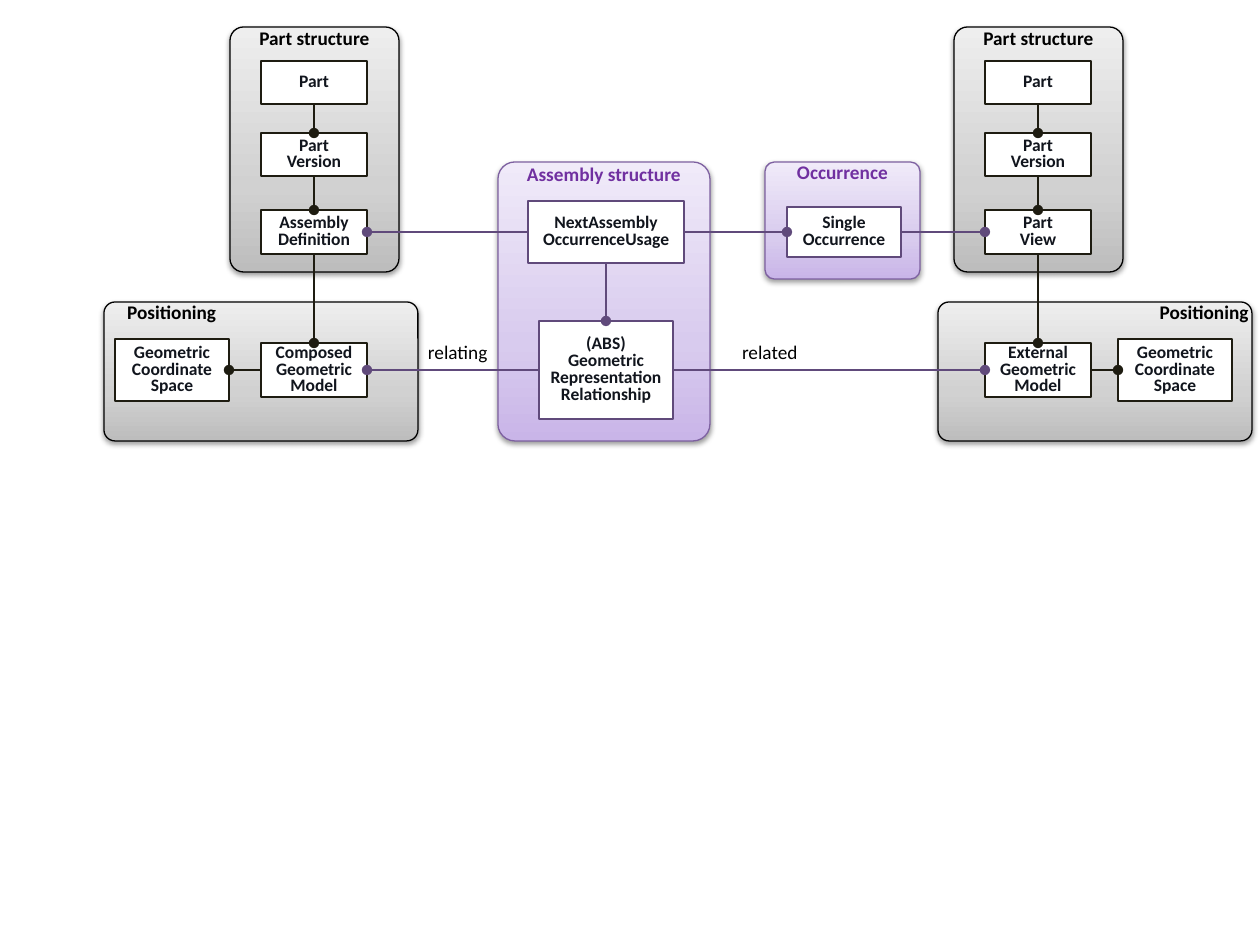
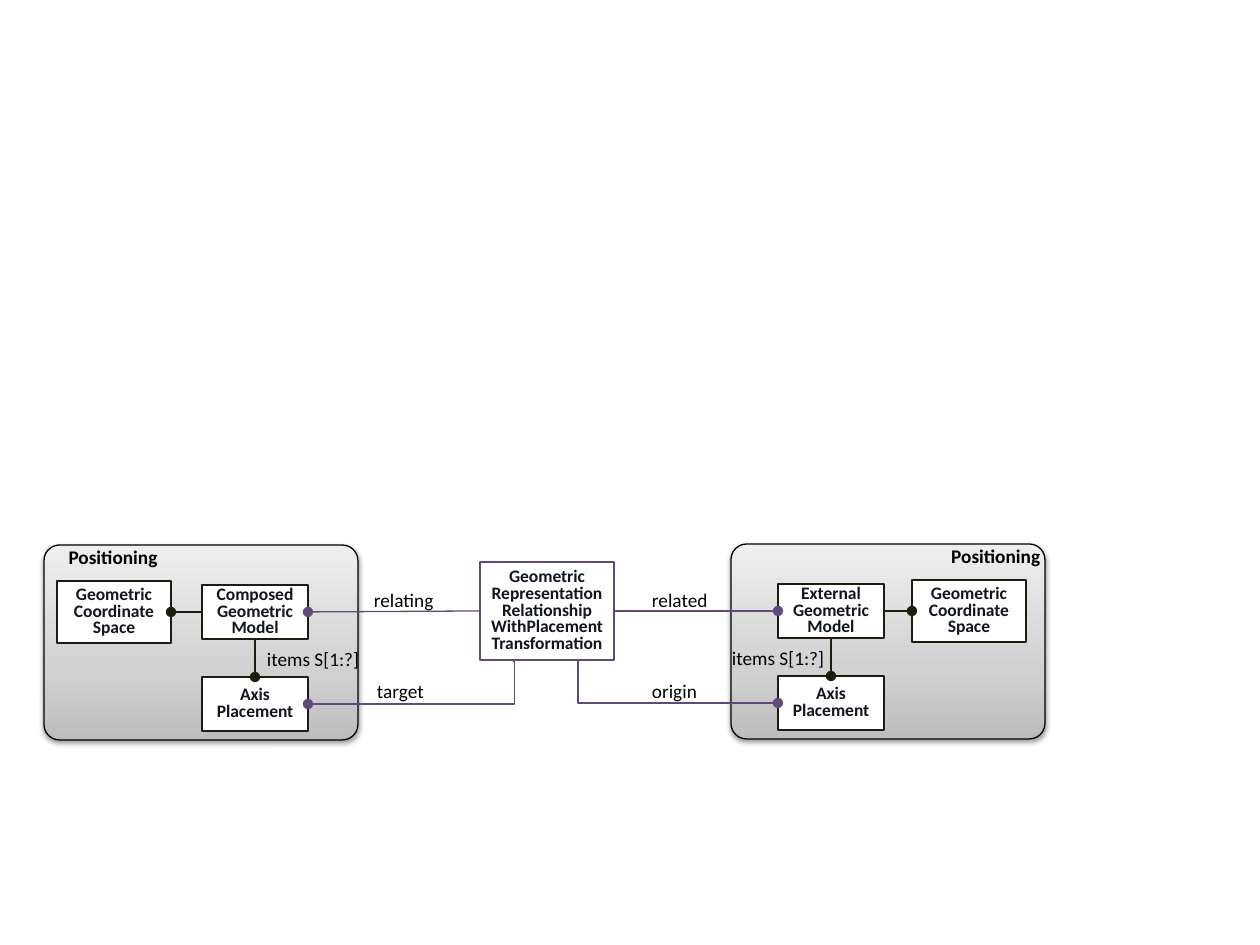
"""Builds two slides that diagram part assembly structure and geometric positioning."""
import copy

import lxml.etree
import pptx
import pptx.dml.color
import pptx.enum.shapes
import pptx.enum.text
import pptx.oxml.ns
import pptx.util

PX = 7257
FONT = "Calibri"
BLACK, INK, DARK, PURPLE = "000000", "11151D", "1E1C11", "604A7B"
GREY_PANEL = (("BDBDBD", "D1D1D1", "EEEEEE"), "000000", "000000")
PURPLE_PANEL = (("C9B5E8", "D8CBEE", "F0EAF9"), "7D60A0", "7030A0")
TOP, LEFT, BOTTOM, RIGHT = range(4)

color = pptx.dml.color.RGBColor.from_string
qn = pptx.oxml.ns.qn
SHAPE = pptx.enum.shapes.MSO_SHAPE
CONNECTOR = pptx.enum.shapes.MSO_CONNECTOR
ALIGN = pptx.enum.text.PP_ALIGN
ANCHOR = pptx.enum.text.MSO_ANCHOR


def write_text(shape, text, size, hex_color, bold, align, anchor, insets, spacing):
    """Fill a shape with paragraphs split at "|" and lines split at a newline."""
    frame = shape.text_frame
    frame.vertical_anchor = anchor
    frame.margin_left, frame.margin_top, frame.margin_right, frame.margin_bottom = (
        inset * PX for inset in insets)
    for index, paragraph_text in enumerate(text.split("|")):
        paragraph = frame.add_paragraph() if index else frame.paragraphs[0]
        paragraph.alignment = align
        paragraph.line_spacing = spacing
        for line_index, line in enumerate(paragraph_text.split("\n")):
            if line_index:
                paragraph.add_line_break()
            run = paragraph.add_run()
            run.text = line
            run.font.name = FONT
            run.font.size = pptx.util.Pt(size)
            run.font.bold = bold
            run.font.color.rgb = color(hex_color)


def add_link(slide, kind, points, hex_color):
    """Add a thin connector whose start carries a round dot."""
    connector = slide.shapes.add_connector(kind, *(point * PX for point in points))
    connector.line.color.rgb = color(hex_color)
    connector.line.width = pptx.util.Pt(0.75)
    properties = connector._element.spPr
    lxml.etree.SubElement(properties.find(qn("a:ln")), qn("a:headEnd"), type="oval")
    lxml.etree.SubElement(properties, qn("a:effectLst"))
    return connector


structure = {
    "panels": [
        ("Positioning", (104, 302, 314, 139), GREY_PANEL, ALIGN.LEFT, 20),
        ("Positioning", (938, 302, 314, 139), GREY_PANEL, ALIGN.RIGHT, 20),
        ("Occurrence", (765, 162, 155, 117), PURPLE_PANEL, ALIGN.CENTER, 0),
        ("Assembly structure", (498, 162, 212, 279), PURPLE_PANEL, ALIGN.CENTER, 0),
    ],
    "boxes": {
        "single": ("Single|Occurrence", (787, 207, 114, 50), PURPLE),
        "usage": ("NextAssembly|OccurrenceUsage", (528, 201, 156, 62), PURPLE),
        "relationship": ("(ABS)|Geometric|Representation|Relationship",
                         (539, 321, 134, 98), PURPLE),
    },
    "links": [
        ("right view", LEFT, "single", RIGHT, PURPLE),
        ("left view", RIGHT, "usage", LEFT, PURPLE),
        ("single", LEFT, "usage", RIGHT, PURPLE),
        ("relationship", TOP, "usage", BOTTOM, PURPLE),
        ("left model", RIGHT, "relationship", LEFT, PURPLE),
        ("right model", LEFT, "relationship", RIGHT, PURPLE),
    ],
    "elbows": [],
    "labels": [("relating", (416, 334, 86, 36)), ("related", (730, 334, 82, 36))],
}

placement = {
    "panels": [
        ("Positioning", (44, 545, 314, 195), GREY_PANEL, ALIGN.LEFT, 20),
        ("Positioning", (731, 544, 314, 195), GREY_PANEL, ALIGN.RIGHT, 20),
    ],
    "boxes": {
        "transformation": (
            "Geometric|Representation|Relationship\nWithPlacement\nTransformation",
            (480, 562, 134, 98), PURPLE),
    },
    "links": [
        ("left model", RIGHT, "transformation", LEFT, PURPLE),
        ("right model", LEFT, "transformation", RIGHT, PURPLE),
    ],
    "elbows": [((308, 704, 513, 661), 100800), ((778, 703, 566, 660), 94300)],
    "labels": [
        ("items S[1:?]", (255, 641, 126, 36)), ("items S[1:?]", (720, 640, 126, 36)),
        ("origin", (640, 673, 72, 36)), ("target", (365, 673, 74, 36)),
        ("relating", (362, 582, 86, 36)), ("related", (640, 582, 82, 36)),
    ],
}

for side, x, view in (("left", 261, "Assembly\nDefinition"), ("right", 985, "Part|View")):
    structure["panels"].append(
        ("Part structure", (x - 31, 27, 169, 245), GREY_PANEL, ALIGN.CENTER, 0))
    structure["boxes"].update({
        f"{side} part": ("Part", (x, 61, 106, 43), DARK),
        f"{side} version": ("Part|Version", (x, 133, 106, 43), DARK),
        f"{side} view": (view, (x, 210, 106, 44), DARK),
    })
    for child, parent in (("version", "part"), ("view", "version"), ("model", "view")):
        structure["links"].append(
            (f"{side} {child}", TOP, f"{side} {parent}", BOTTOM, DARK))

for diagram, side, model, model_x, space_x, y in (
        (structure, "left", "Composed", 261, 115, 343),
        (structure, "right", "External", 985, 1118, 343),
        (placement, "left", "Composed", 202, 57, 585),
        (placement, "right", "External", 778, 912, 584)):
    diagram["boxes"].update({
        f"{side} model": (f"{model}|Geometric|Model", (model_x, y, 106, 54), DARK),
        f"{side} space": ("Geometric|Coordinate|Space", (space_x, y - 4, 114, 62), DARK),
    })
    inner, outer = (RIGHT, LEFT) if side == "left" else (LEFT, RIGHT)
    diagram["links"].append((f"{side} space", inner, f"{side} model", outer, DARK))
    if diagram is placement:
        diagram["boxes"][f"{side} axis"] = (
            "Axis|Placement", (model_x, y + 92, 106, 54), DARK)
        diagram["links"].append((f"{side} axis", TOP, f"{side} model", BOTTOM, DARK))

presentation = pptx.Presentation()
presentation.slide_width = pptx.util.Inches(10)
presentation.slide_height = pptx.util.Inches(7.5)

for diagram in (structure, placement):
    slide = presentation.slides.add_slide(presentation.slide_layouts[6])

    for title, frame, (stops, outline, title_color), align, inset in diagram["panels"]:
        panel = slide.shapes.add_shape(
            SHAPE.ROUNDED_RECTANGLE, *(length * PX for length in frame))
        panel.adjustments[0] = 0.08
        panel.fill.gradient()
        panel.fill.gradient_angle = 90
        properties = panel._element.spPr
        stop_list = properties.find(".//" + qn("a:gsLst"))
        stop_list.append(copy.deepcopy(stop_list[0]))
        for stop, position, stop_color in zip(
                panel.fill.gradient_stops, (0, 0.35, 1), stops):
            stop.position = position
            stop.color.rgb = color(stop_color)
        panel.line.color.rgb = color(outline)
        panel.line.width = pptx.util.Pt(0.75)
        panel.shadow.inherit = False
        shadow = lxml.etree.SubElement(
            properties.find(qn("a:effectLst")), qn("a:outerShdw"),
            blurRad="40000", dist="20000", dir="5400000", rotWithShape="0")
        shadow_color = lxml.etree.SubElement(shadow, qn("a:srgbClr"), val=BLACK)
        lxml.etree.SubElement(shadow_color, qn("a:alpha"), val="38000")
        write_text(panel, title, 11, title_color, True, align, ANCHOR.TOP,
                   (inset, 0, 0, 0), 0.8)

    boxes = {}
    for name, (text, frame, outline) in diagram["boxes"].items():
        box = slide.shapes.add_shape(SHAPE.RECTANGLE, *(length * PX for length in frame))
        box.fill.solid()
        box.fill.fore_color.rgb = color("FFFFFF")
        box.line.color.rgb = color(outline)
        box.line.width = pptx.util.Pt(1)
        box.shadow.inherit = False
        write_text(box, text, 10, INK, True, ALIGN.CENTER, ANCHOR.MIDDLE,
                   (5, 5, 5, 5), 0.8)
        boxes[name] = box

    for start, start_side, end, end_side, link_color in diagram["links"]:
        link = add_link(slide, CONNECTOR.STRAIGHT, (0, 0, 0, 0), link_color)
        link.begin_connect(boxes[start], start_side)
        link.end_connect(boxes[end], end_side)

    for points, bend in diagram["elbows"]:
        elbow = add_link(slide, CONNECTOR.ELBOW, points, PURPLE)
        adjustments = elbow._element.spPr.find(".//" + qn("a:avLst"))
        lxml.etree.SubElement(adjustments, qn("a:gd"), name="adj1", fmla=f"val {bend}")

    for text, frame in diagram["labels"]:
        label = slide.shapes.add_textbox(*(length * PX for length in frame))
        label.text_frame.word_wrap = False
        label.text_frame.auto_size = pptx.enum.text.MSO_AUTO_SIZE.SHAPE_TO_FIT_TEXT
        write_text(label, text, 11, BLACK, False, ALIGN.LEFT, ANCHOR.TOP,
                   (12, 6, 12, 6), 1.0)

presentation.save("out.pptx")
